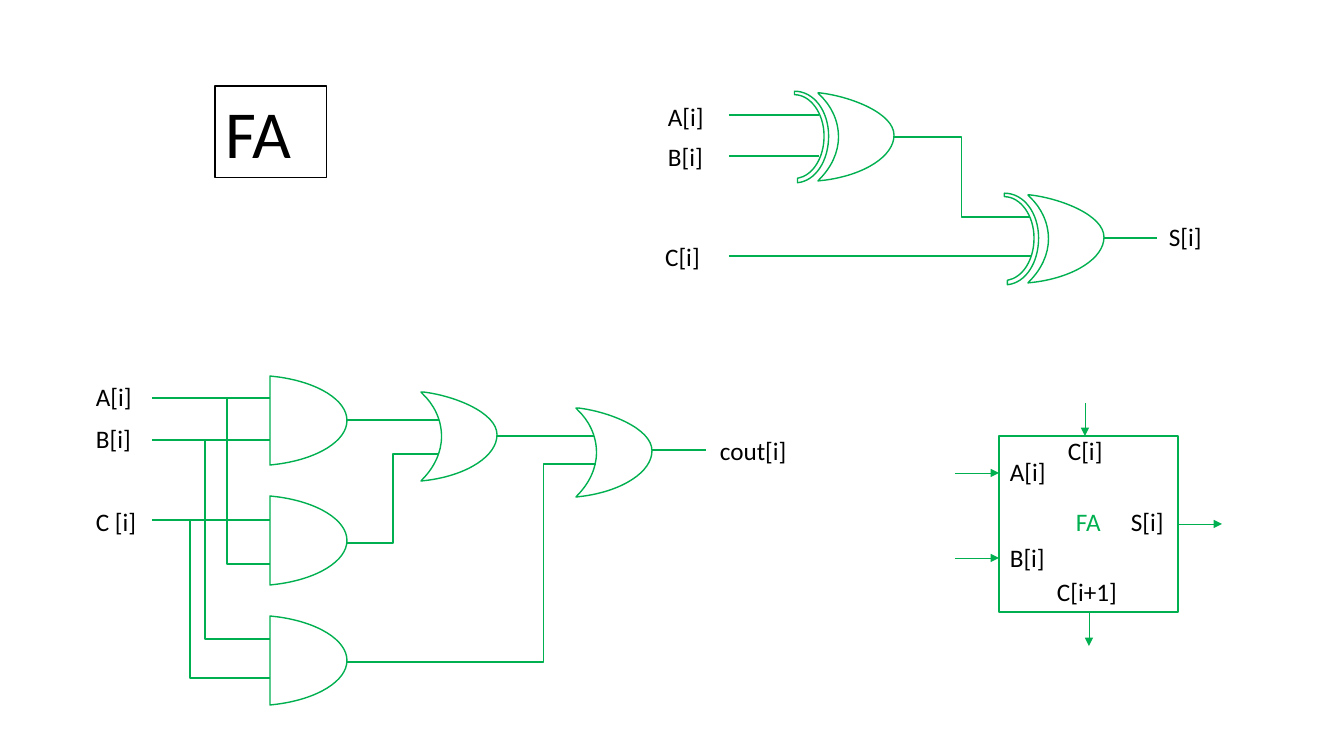
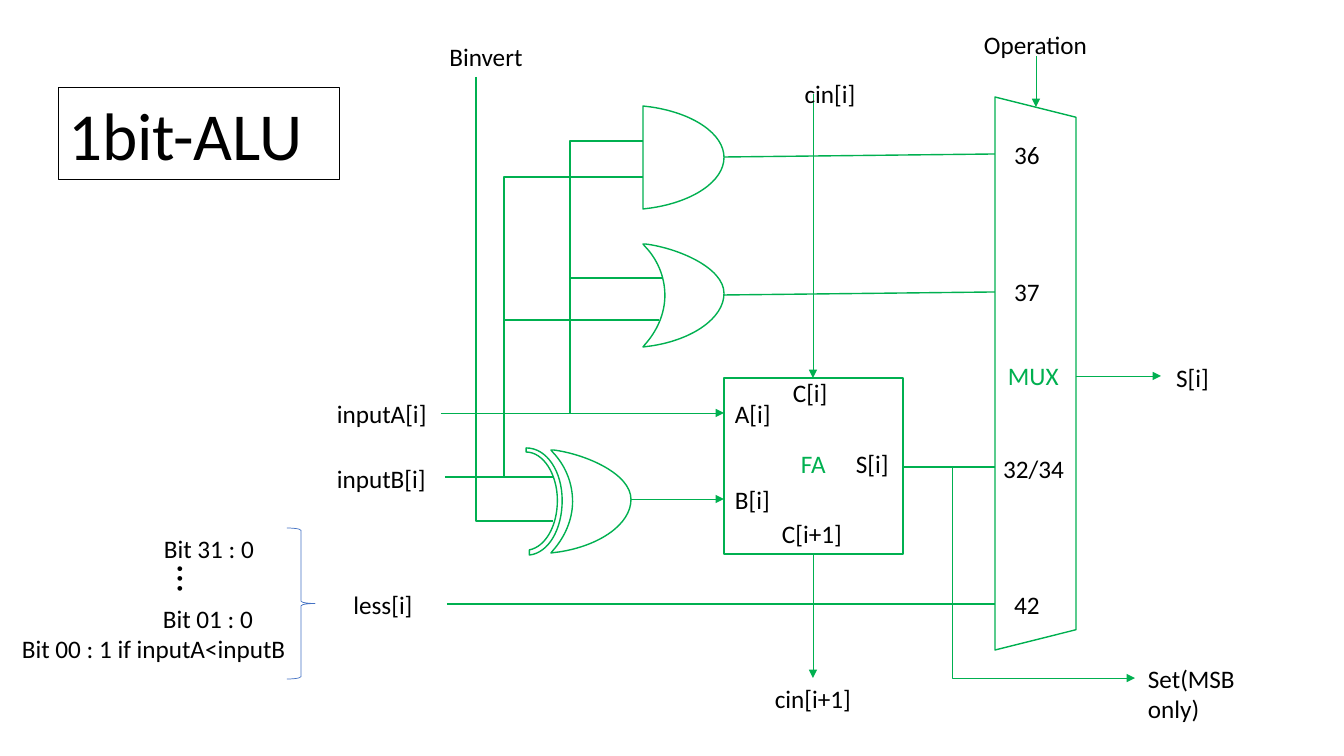
"""Builds the full adder and one-bit ALU slides."""
from dataclasses import dataclass

from lxml import etree
from pptx import Presentation
from pptx.dml.color import RGBColor
from pptx.enum.shapes import MSO_CONNECTOR, MSO_SHAPE
from pptx.enum.text import MSO_ANCHOR, MSO_AUTO_SIZE, PP_ALIGN
from pptx.oxml.ns import qn
from pptx.util import Emu, Pt

LEFT, CENTER = PP_ALIGN.LEFT, PP_ALIGN.CENTER
TOP = MSO_ANCHOR.TOP
GROW, FIXED = MSO_AUTO_SIZE.SHAPE_TO_FIT_TEXT, MSO_AUTO_SIZE.NONE
STRAIGHT, ELBOW = MSO_CONNECTOR.STRAIGHT, MSO_CONNECTOR.ELBOW
RECTANGLE, TRAPEZOID = MSO_SHAPE.RECTANGLE, MSO_SHAPE.TRAPEZOID
BRACE = MSO_SHAPE.RIGHT_BRACE
SCALE = 914400 / 100.8
TITLE_ONLY = 5
LABEL_HEIGHT = 40


@dataclass(frozen=True)
class Theme:
    """Colours, font and sizes shared by the slides."""
    ink: RGBColor = RGBColor(0, 0, 0)
    paper: RGBColor = RGBColor(255, 255, 255)
    circuit: RGBColor = RGBColor(0x00, 0xB0, 0x50)
    brace: RGBColor = RGBColor(0x44, 0x72, 0xC4)
    font: str = "Calibri"
    title_size: Pt = Pt(48)
    dots_size: Pt = Pt(28)
    label_size: Pt = Pt(18)
    frame_width: Pt = Pt(0.75)
    wire_width: Pt = Pt(1)
    arrow_width: Pt = Pt(0.5)


THEME = Theme()

AND_BODY = [(1, .5), (1, .73, .62, .93, .1, .99), (0, 1), (0, 0), (.1, .01),
            (.62, .07, 1, .27, 1, .5)]
OR_BODY = [(1, .48), (1, .72, .61, .93, .1, .99), (0, 1), (.02, .98),
           (.17, .85, .27, .68, .27, .5), (.27, .31, .17, .14, .02, .02),
           (0, 0), (.03, 0), (.43, .04, 1, .23, 1, .48)]
XOR_BAND = [(.14, .49), (.14, .77, -.03, 1, -.27, 1.02), (-.27, .97),
            (-.07, .94, .08, .74, .08, .49), (.08, .23, -.1, .02, -.31, .02),
            (-.31, -.02), (-.05, -.02, .14, .21, .14, .49)]
AND_GATE, OR_GATE, XOR_GATE = [AND_BODY], [OR_BODY], [XOR_BAND, OR_BODY]


def pixels(*lengths):
    """Turn pixel lengths into EMU."""
    return [Emu(round(length * SCALE)) for length in lengths]


def apply_format(target, values):
    """Set every named attribute on the target."""
    for name, value in values.items():
        setattr(target, name, value)


def set_line(shape, color, width):
    """Give a shape or connector a solid line."""
    shape.line.color.rgb = color
    shape.line.width = width


def write_text(shape, text, size, color, align=LEFT, fit=GROW):
    """Write one formatted paragraph into a shape."""
    frame = shape.text_frame
    apply_format(frame, {"text": text, "word_wrap": True, "auto_size": fit,
                         "vertical_anchor": TOP})
    paragraph = frame.paragraphs[0]
    paragraph.alignment = align
    apply_format(paragraph.runs[0].font, {"name": THEME.font, "size": size})
    paragraph.runs[0].font.color.rgb = color


def vertices(contour):
    """List the end points and curve controls of a contour."""
    return [segment[index:index + 2] for segment in contour
            for index in range(0, len(segment), 2)]


def bend_curves(shape, contours):
    """Join the controls of each curved segment into one cubic curve."""
    lines = iter(shape.element.findall(".//" + qn("a:lnTo")))
    for contour in contours:
        for segment in contour[1:]:
            steps = [next(lines) for _ in range(len(segment) // 2)]
            if len(steps) == 1:
                continue
            curve = etree.Element(qn("a:cubicBezTo"))
            steps[0].addprevious(curve)
            for step in steps:
                curve.append(step[0])
                step.getparent().remove(step)


@dataclass
class Region:
    """A part of a slide that places shapes from its own corner."""
    slide: object
    left: int
    top: int

    def inner(self, left, top):
        """Return a region nested in this one."""
        return Region(self.slide, self.left + left, self.top + top)

    def place(self, left, top):
        """Return slide coordinates in EMU."""
        return pixels(self.left + left, self.top + top)

    def label(self, text, left, top, width, align=LEFT, color=THEME.ink,
              size=THEME.label_size, height=LABEL_HEIGHT):
        """Add a text label."""
        box = self.slide.shapes.add_textbox(
            *self.place(left, top), *pixels(width, height))
        write_text(box, text, size, color, align)
        return box

    def labels(self, rows):
        """Add several labels."""
        for row in rows:
            self.label(*row)

    def outline(self, kind, left, top, width, height):
        """Add a white preset shape with a circuit line."""
        shape = self.slide.shapes.add_shape(
            kind, *self.place(left, top), *pixels(width, height))
        self.finish(shape, True)
        return shape

    def finish(self, shape, filled):
        """Style a circuit shape."""
        shape.shadow.inherit = False
        if filled:
            shape.fill.solid()
            shape.fill.fore_color.rgb = THEME.paper
        else:
            shape.fill.background()
        set_line(shape, THEME.circuit, THEME.wire_width)

    def gate(self, contours, left, top, width, height):
        """Draw a logic gate whose body fills the given box."""
        paths = [[self.place(left + x * width, top + y * height)
                  for x, y in vertices(contour)] for contour in contours]
        builder = self.slide.shapes.build_freeform(*paths[0][0], scale=1.0)
        for index, points in enumerate(paths):
            if index:
                builder.move_to(*points[0])
            builder.add_line_segments(points[1:], close=True)
        shape = builder.convert_to_shape()
        bend_curves(shape, contours)
        self.finish(shape, contours is not AND_GATE)

    def wire(self, x1, y1, x2, y2, bend=None, arrow=False):
        """Draw a wire, with a bend at a share of its width if given."""
        kind = STRAIGHT if bend is None else ELBOW
        connector = self.slide.shapes.add_connector(
            kind, *self.place(x1, y1), *self.place(x2, y2))
        set_line(connector, THEME.circuit,
                 THEME.arrow_width if arrow else THEME.wire_width)
        element = connector.element
        if bend is not None:
            etree.SubElement(element.find(".//" + qn("a:avLst")), qn("a:gd"),
                             name="adj1", fmla=f"val {round(bend * 100000)}")
        if arrow:
            etree.SubElement(element.find(".//" + qn("a:ln")),
                             qn("a:tailEnd"), type="triangle")
        etree.SubElement(element.find(qn("p:spPr")), qn("a:effectLst"))

    def wires(self, rows, arrow=False):
        """Draw several wires."""
        for row in rows:
            self.wire(*row, arrow=arrow)


def add_titled_slide(presentation, text, left, top, width):
    """Add a slide with a framed title."""
    slide = presentation.slides.add_slide(
        presentation.slide_layouts[TITLE_ONLY])
    title = slide.shapes.title
    box = pixels(left, top, width, 92)
    apply_format(title, dict(zip(("left", "top", "width", "height"), box)))
    set_line(title, THEME.ink, THEME.frame_width)
    write_text(title, text, THEME.title_size, THEME.ink, fit=FIXED)
    return slide


def draw_sum(region):
    """Draw the sum circuit."""
    for left, top in ((174, 5), (384, 107)):
        region.gate(XOR_GATE, left, top, 76, 88)
    region.wires([(85, 27, 175, 27), (85, 68, 175, 68),
                  (249, 49, 386, 129, .5), (85, 168, 387, 168),
                  (460, 150, 513, 150)])
    region.labels([("A[i]", 14, 8, 62), ("B[i]", 14, 48, 62),
                   ("C[i]", 0, 148, 77, CENTER), ("S[i]", 515, 128, 54)])


def draw_carry(region):
    """Draw the carry circuit."""
    for row in range(3):
        region.gate(AND_GATE, 184, 120 * row, 77, 89)
    for left, top in ((335, 16), (490, 32)):
        region.gate(OR_GATE, left, top, 76, 89)
    region.wires([(66, y, 184, y) for y in (22, 64, 144)])
    region.wires([(261, 44, 353, 44), (261, 167, 353, 78, .5),
                  (411, 60, 508, 60), (261, 286, 510, 88, .79),
                  (566, 74, 620, 74), (141, 22, 184, 188, 0),
                  (119, 64, 184, 263, 0), (104, 144, 184, 302, 0)])
    region.labels([("A[i]", 0, 0, 60), ("B[i]", 0, 42, 60),
                   ("C [i]", -1, 125, 62, CENTER), ("cout[i]", 624, 54, 112)])


def draw_adder(region):
    """Draw the full adder block and return its name label."""
    region.outline(RECTANGLE, 0, 0, 179, 176)
    region.labels([("A[i]", 1, 15, 58), ("B[i]", 1, 101, 58),
                   ("C[i]", 59, -6, 58), ("C[i+1]", 48, 135, 84),
                   ("S[i]", 122, 65, 58)])
    return region.label("FA", 67, 65, 49, color=THEME.circuit)


def draw_ported_adder(region):
    """Draw a stand-alone adder block with arrows at its ports."""
    name = draw_adder(region)
    set_line(name, THEME.paper, THEME.frame_width)
    region.wires([(-44, 37, 0, 37), (-44, 122, 0, 122), (179, 88, 223, 88),
                  (86, -33, 86, 0), (90, 176, 90, 210)], arrow=True)


def draw_multiplexer(region):
    """Draw the multiplexer with its operation codes."""
    width, height = 81, 553
    shape = region.outline(TRAPEZOID, (width - height) / 2,
                           (height - width) / 2, height, width)
    shape.rotation = 90
    region.labels([("36", 6, 37, 52, CENTER), ("37", 6, 174, 52, CENTER),
                   ("32/34", -6, 351, 89, CENTER), ("42", 6, 487, 52, CENTER),
                   ("MUX", 3, 258, 76, LEFT, THEME.circuit)])


def draw_datapath(region):
    """Draw the one-bit datapath."""
    region.gate(XOR_GATE, 224, 426, 80, 103)
    region.gate(AND_GATE, 316, 82, 81, 103)
    region.gate(OR_GATE, 316, 220, 81, 103)
    draw_adder(region.inner(397, 354))
    draw_multiplexer(region.inner(668, 73))
    region.wires([(397, 133, 668, 130), (397, 271, 668, 268),
                  (576, 443, 668, 443), (120, 580, 668, 580),
                  (118, 453, 226, 453), (149, 53, 226, 497, 0),
                  (177, 453, 332, 296, 0), (177, 296, 316, 153, 0),
                  (243, 389, 335, 254, 0), (243, 254, 316, 117, 0)])
    region.wires([(304, 475, 397, 475), (114, 389, 397, 389),
                  (486, 530, 486, 654), (625, 443, 808, 654, 0),
                  (486, 70, 486, 354), (749, 352, 834, 352),
                  (709, 32, 709, 83)], arrow=True)
    region.labels([("inputA[i]", 0, 369, 112), ("inputB[i]", 0, 434, 112),
                   ("less[i]", 0, 560, 112, CENTER),
                   ("Set(MSB only)", 811, 634, 160),
                   ("cin[i+1]", 430, 654, 112, CENTER),
                   ("Binvert", 103, 12, 112, CENTER),
                   ("cin[i]", 447, 49, 112, CENTER),
                   ("Operation", 633, 0, 151, CENTER),
                   ("S[i]", 825, 333, 81, CENTER)])


def draw_less_values(region):
    """Draw the braced list of values for the less input."""
    brace = region.outline(BRACE, 275, 0, 28, 151)
    brace.fill.background()
    set_line(brace, THEME.brace, THEME.arrow_width)
    region.labels([("Bit 31 : 0", 142, 0, 112), ("Bit 01 : 0", 141, 70, 112),
                   ("Bit 00 : 1 if inputA<inputB", 0, 100, 306)])
    dots = region.label("…", 155, 26, 53, size=THEME.dots_size, height=57)
    dots.rotation = 90


def main():
    """Build and save the presentation."""
    presentation = Presentation()
    width, height = pixels(1344, 756)
    apply_format(presentation, {"slide_width": width, "slide_height": height})

    slide = add_titled_slide(presentation, "FA", 215, 86, 112)
    draw_carry(Region(slide, 86, 376))
    draw_ported_adder(Region(slide, 999, 436))
    draw_sum(Region(slide, 644, 88))

    slide = add_titled_slide(presentation, "1bit-ALU", 58, 88, 282)
    draw_datapath(Region(slide, 327, 24))
    draw_less_values(Region(slide, 12, 528))
    presentation.save("out.pptx")


main()
